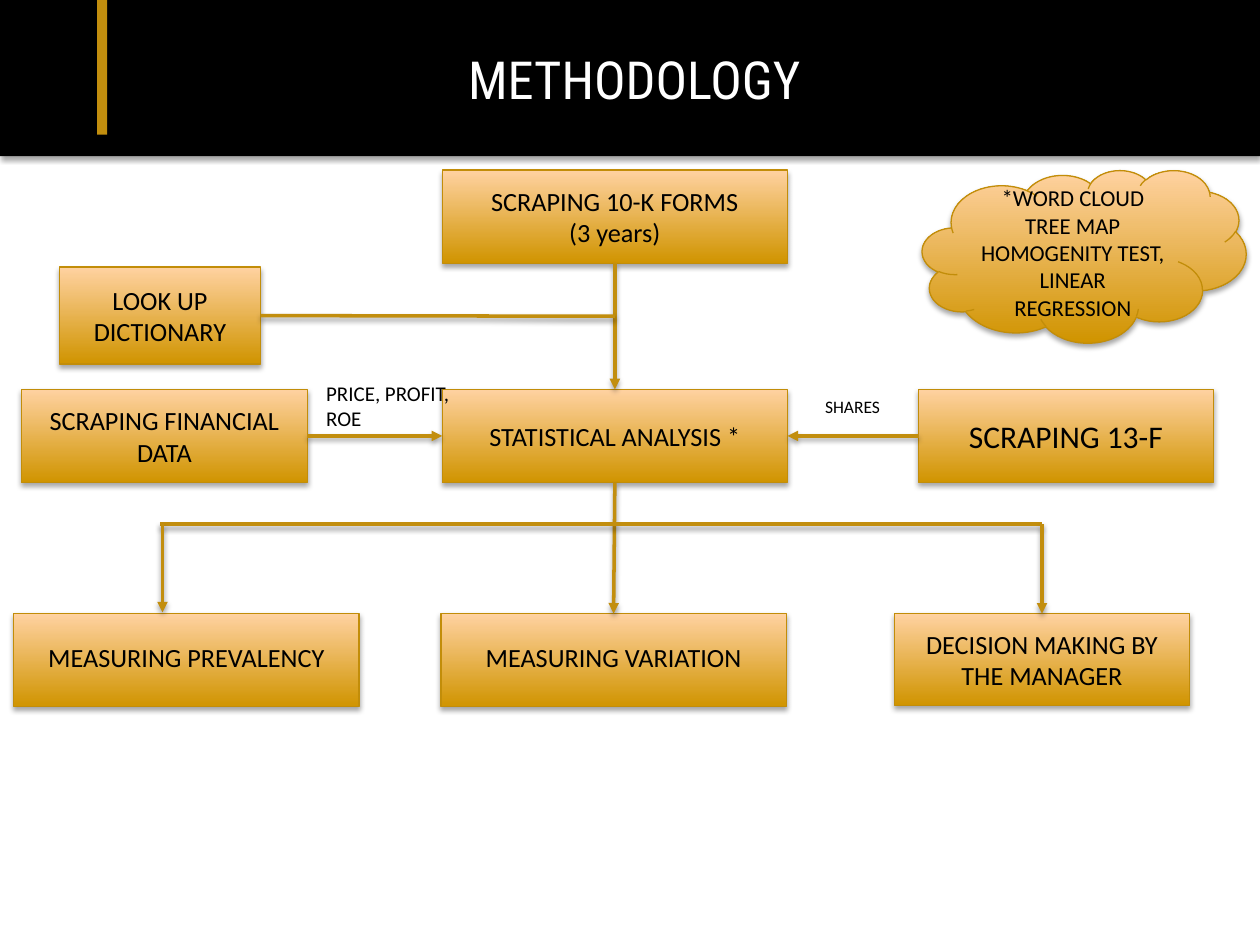
from dataclasses import dataclass

from lxml import etree
from pptx import Presentation
from pptx.dml.color import RGBColor
from pptx.enum.shapes import MSO_CONNECTOR, MSO_SHAPE
from pptx.enum.text import MSO_ANCHOR, MSO_AUTO_SIZE, PP_ALIGN
from pptx.oxml import parse_xml
from pptx.oxml.ns import qn
from pptx.util import Inches, Pt

RECT, CLOUD = MSO_SHAPE.RECTANGLE, MSO_SHAPE.CLOUD
STRAIGHT = MSO_CONNECTOR.STRAIGHT
TOP, MIDDLE = MSO_ANCHOR.TOP, MSO_ANCHOR.MIDDLE
LEFT, CENTER = PP_ALIGN.LEFT, PP_ALIGN.CENTER
GROW, FIXED = MSO_AUTO_SIZE.SHAPE_TO_FIT_TEXT, MSO_AUTO_SIZE.NONE
TOP_SIDE, LEFT_SIDE, BOTTOM_SIDE, RIGHT_SIDE = range(4)


@dataclass(frozen=True)
class Theme:
    band: RGBColor = RGBColor(0x00, 0x00, 0x00)
    accent: RGBColor = RGBColor(0xC2, 0x8E, 0x0E)
    outline: RGBColor = RGBColor(0xC2, 0x8D, 0x09)
    gradient: tuple = (RGBColor(0xD0, 0x94, 0x00), RGBColor(0xFF, 0xD2, 0xA1))
    ink: RGBColor = RGBColor(0x00, 0x00, 0x00)
    title_ink: RGBColor = RGBColor(0xFF, 0xFF, 0xFF)
    body_font: str = "Calibri"
    title_font: str = "Roboto Condensed"
    title_size: int = 30
    large_size: int = 18
    step_size: int = 15
    cloud_size: int = 13
    note_size: int = 12
    small_size: int = 10


theme = Theme()


def add_shadow(shape, opacity):
    """Give a shape or connector a soft shadow straight below it."""
    shape._element.spPr.append(parse_xml(
        '<a:effectLst xmlns:a="http://schemas.openxmlformats.org/drawingml/2006/main">'
        f'<a:outerShdw blurRad="{Pt(3.1)}" dist="{Pt(1.8)}" dir="5400000" rotWithShape="0">'
        f'<a:srgbClr val="000000"><a:alpha val="{opacity * 1000}"/></a:srgbClr>'
        '</a:outerShdw></a:effectLst>'))


def write(shape, text, size, align, color=theme.ink, font=theme.body_font, **frame_format):
    """Fill the text frame; a newline starts a new paragraph."""
    frame = shape.text_frame
    frame.text = text
    for name, value in {"word_wrap": True, **frame_format}.items():
        setattr(frame, name, value)
    for paragraph in frame.paragraphs:
        paragraph.alignment = align
        paragraph.font.size = Pt(size)
        paragraph.font.name = font
        paragraph.font.color.rgb = color


prs = Presentation()
prs.slide_width, prs.slide_height = Inches(10), Inches(7.5)
slide = prs.slides.add_slide(prs.slide_layouts[5])
shapes = slide.shapes

# Header
for left, width, height, color in [(0, 10, 1.24, theme.band), (0.77, 0.08, 1.07, theme.accent)]:
    bar = shapes.add_shape(RECT, Inches(left), 0, Inches(width), Inches(height))
    bar.fill.solid()
    bar.fill.fore_color.rgb = color
    bar.line.fill.background()
    add_shadow(bar, 35)

title = shapes.title
title_box = {"left": 1.25, "top": 0.37, "width": 7.57, "height": 0.44}
for name, value in title_box.items():
    setattr(title, name, Inches(value))
write(title, "METHODOLOGY", theme.title_size, CENTER, theme.title_ink, theme.title_font,
      vertical_anchor=TOP, auto_size=FIXED,
      margin_left=0, margin_top=0, margin_right=0, margin_bottom=0)
shapes._spTree.append(title._element)  # in front of the header band

# Process steps: key, text, left, top, width, height, type size, outline
steps = [
    ("forms", "SCRAPING 10-K FORMS\n(3 years)", 3.51, 1.35, 2.74, 0.74, theme.step_size, RECT),
    ("dictionary", "LOOK UP DICTIONARY", 0.47, 2.12, 1.6, 0.77, theme.step_size, RECT),
    ("analysis", "STATISTICAL ANALYSIS *", 3.51, 3.09, 2.74, 0.74, theme.step_size, RECT),
    ("financial", "SCRAPING FINANCIAL DATA", 0.17, 3.09, 2.27, 0.74, theme.step_size, RECT),
    ("holdings", "SCRAPING 13-F", 7.29, 3.09, 2.34, 0.74, theme.large_size, RECT),
    ("prevalency", "MEASURING PREVALENCY", 0.11, 4.87, 2.74, 0.74, theme.step_size, RECT),
    ("variation", "MEASURING VARIATION", 3.5, 4.87, 2.74, 0.74, theme.step_size, RECT),
    ("decision", "DECISION MAKING BY THE MANAGER", 7.1, 4.87, 2.34, 0.73, theme.step_size, RECT),
    ("methods", "*WORD CLOUD\nTREE MAP\nHOMOGENITY TEST,\nLINEAR REGRESSION",
     7.32, 1.35, 2.57, 1.37, theme.cloud_size, CLOUD),
]
step_shapes = {}
for key, text, left, top, width, height, size, outline in steps:
    step = shapes.add_shape(outline, Inches(left), Inches(top), Inches(width), Inches(height))
    step.fill.gradient()
    step.fill.gradient_angle = 90
    for stop, color, position in zip(step.fill.gradient_stops, theme.gradient, (0, 1)):
        stop.color.rgb = color
        stop.position = position
    step.line.color.rgb = theme.outline
    step.line.width = Pt(0.75)
    add_shadow(step, 35)
    write(step, text, size, CENTER, vertical_anchor=MIDDLE)
    step_shapes[key] = step
for key in ("prevalency", "variation"):
    step_shapes[key].text_frame.margin_bottom = Inches(0.1)

# Flow lines: start, end, (step, side) joined at each end, arrowhead
trunk_x, branch_y, branch_left, branch_right = 4.88, 4.16, 1.29, 8.27
flows = [
    ((trunk_x, 2.09), (trunk_x, 3.09), ("forms", BOTTOM_SIDE), ("analysis", TOP_SIDE), True),
    ((2.07, 2.51), (trunk_x, 2.51), ("dictionary", RIGHT_SIDE), None, False),
    ((2.44, 3.46), (3.51, 3.46), ("financial", RIGHT_SIDE), ("analysis", LEFT_SIDE), True),
    ((7.29, 3.46), (6.25, 3.46), ("holdings", LEFT_SIDE), ("analysis", RIGHT_SIDE), True),
    ((trunk_x, 3.83), (trunk_x, 4.87), ("analysis", BOTTOM_SIDE), ("variation", TOP_SIDE), True),
    ((branch_left - 0.02, branch_y), (branch_right, branch_y), None, None, False),
    ((branch_left, branch_y), (branch_left, 4.86), None, None, True),
    ((branch_right, branch_y), (branch_right, 4.87), None, ("decision", TOP_SIDE), True),
]
for start, end, source, target, arrow in flows:
    flow = shapes.add_connector(STRAIGHT, *map(Inches, start + end))
    if source:
        flow.begin_connect(step_shapes[source[0]], source[1])
    if target:
        flow.end_connect(step_shapes[target[0]], target[1])
    flow.line.color.rgb = theme.accent
    flow.line.width = Pt(2)
    if arrow:
        etree.SubElement(flow.line._get_or_add_ln(), qn("a:tailEnd"), type="triangle")
    add_shadow(flow, 38)

# Labels on the inputs
for text, left, top, width, height, size in [
    ("PRICE, PROFIT, ROE", 2.49, 2.97, 1.18, 0.5, theme.note_size),
    ("SHARES", 6.45, 3.09, 0.75, 0.27, theme.small_size),
]:
    label = shapes.add_textbox(Inches(left), Inches(top), Inches(width), Inches(height))
    write(label, text, size, LEFT, auto_size=GROW)

prs.save("out.pptx")
